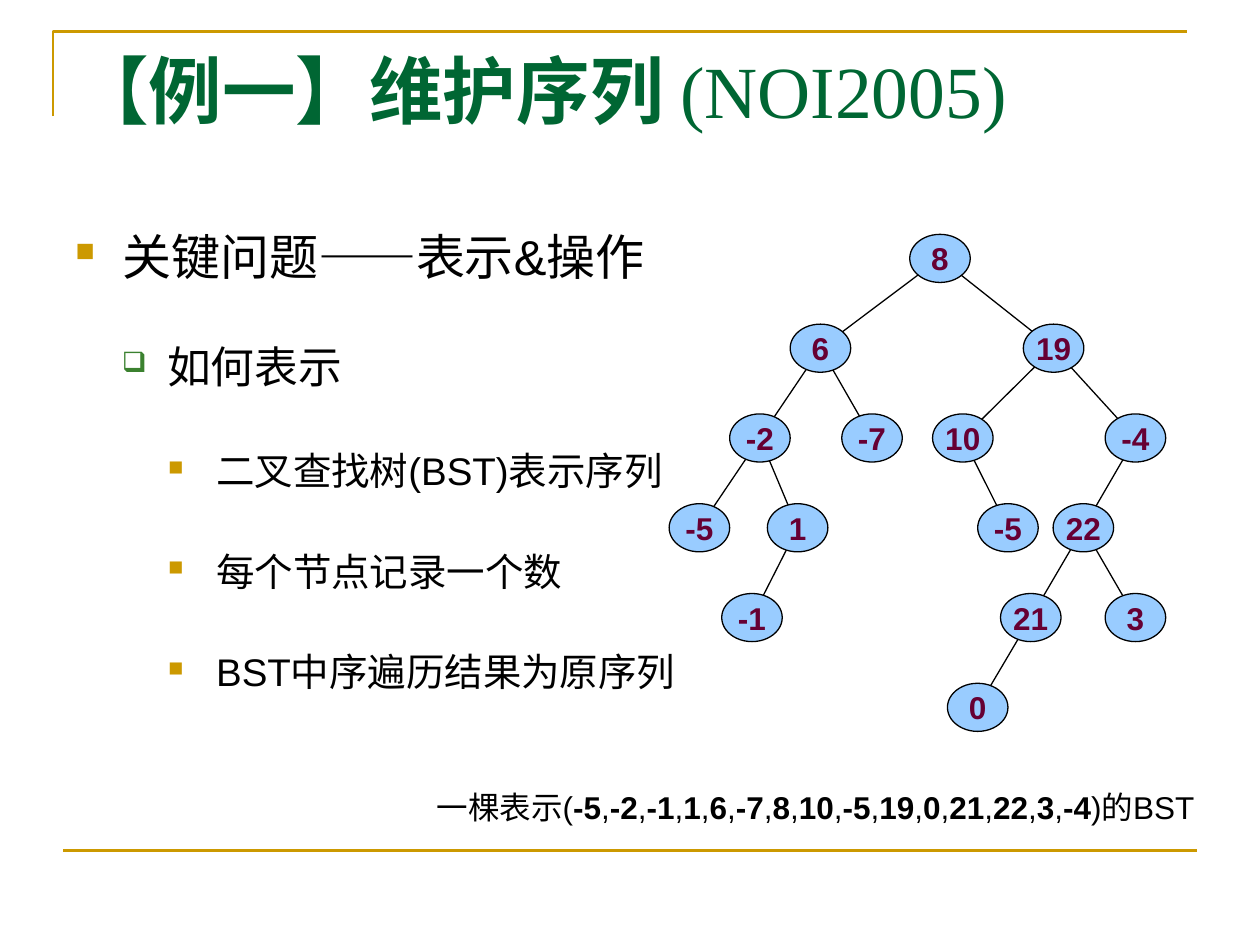
import pptx
import pptx.dml.color
import pptx.enum.shapes
import pptx.enum.text
import pptx.oxml.ns
import pptx.util
from lxml import etree

Cm = pptx.util.Cm
Pt = pptx.util.Pt
RGBColor = pptx.dml.color.RGBColor
ALIGN = pptx.enum.text.PP_ALIGN
ANCHOR = pptx.enum.text.MSO_ANCHOR
qn = pptx.oxml.ns.qn

GOLD = RGBColor(0xCC, 0x99, 0x00)
GREEN = RGBColor(0x00, 0x66, 0x33)
LEAF = RGBColor(0x3B, 0x81, 0x2F)
SKY = RGBColor(0x99, 0xCC, 0xFF)
PLUM = RGBColor(0x66, 0x00, 0x33)
BLACK = RGBColor(0x00, 0x00, 0x00)

TITLE = [("【例一】维护序列 ", True), ("(NOI2005)", False)]

# Per outline level: size, line height and space before in points, indents in cm
LEVELS = [
    dict(size=28, line=33, before=0, left=0.95, hang=0.95, bullet="■", color=GOLD, percent=54),
    dict(size=25, line=32, before=29.5, left=1.85, hang=0.91, bullet="❑", color=LEAF, percent=64),
    dict(size=22, line=28, before=29.5, left=2.84, hang=0.97, bullet="■", color=GOLD, percent=54),
]
OUTLINE = [
    (0, "关键问题——表示&操作"),
    (1, "如何表示"),
    (2, "二叉查找树(BST)表示序列"),
    (2, "每个节点记录一个数"),
    (2, "BST中序遍历结果为原序列"),
]

# label, depth, centre x in cm, index of the parent
TREE = [
    ("8", 0, 18.95, None),
    ("6", 1, 16.54, 0), ("19", 1, 21.24, 0),
    ("-2", 2, 15.32, 1), ("-7", 2, 17.58, 1), ("10", 2, 19.41, 2), ("-4", 2, 22.89, 2),
    ("-5", 3, 14.1, 3), ("1", 3, 16.08, 3), ("-5", 3, 20.32, 5), ("22", 3, 21.84, 6),
    ("-1", 4, 15.16, 8), ("21", 4, 20.78, 10), ("3", 4, 22.89, 10),
    ("0", 5, 19.71, 12),
]
ROOT_Y, ROW_PITCH = 5.21, 1.81
NODE_WIDTH, NODE_HEIGHT = 1.22, 0.97
SEQUENCE = "-5,-2,-1,1,6,-7,8,10,-5,19,0,21,22,3,-4".split(",")


def apply(target, values):
    for name, value in values.items():
        setattr(target, name, value)


class SlideWriter:
    def __init__(self, page, font="Arial"):
        self.page = page
        self.font = font

    def spans(self, para, parts, size, color, font=None):
        """Add (text, bold) parts to a paragraph."""
        for text, bold in parts:
            span = para.add_run()
            span.text = text
            apply(span.font, dict(name=font or self.font, size=Pt(size), bold=bold))
            span.font.color.rgb = color

    def frame(self, box, wrap=True, anchor=ANCHOR.TOP):
        apply(box.text_frame, dict(
            word_wrap=wrap, vertical_anchor=anchor,
            auto_size=pptx.enum.text.MSO_AUTO_SIZE.NONE,
            margin_left=Cm(0.25), margin_right=Cm(0.25),
            margin_top=Cm(0.13), margin_bottom=Cm(0.13)))
        return box.text_frame

    def title(self, parts, left, top, width, height):
        box = self.page.shapes.title
        apply(box, dict(left=Cm(left), top=Cm(top), width=Cm(width), height=Cm(height)))
        para = self.frame(box).paragraphs[0]
        apply(para, dict(alignment=ALIGN.LEFT, line_spacing=Pt(51)))
        self.spans(para, parts, 42, GREEN, "Times New Roman")

    def text_box(self, left, top, width, height):
        return self.frame(self.page.shapes.add_textbox(Cm(left), Cm(top), Cm(width), Cm(height)))

    def outline(self, items, *place):
        frame = self.text_box(*place)
        for number, (level, text) in enumerate(items):
            style = LEVELS[level]
            para = frame.paragraphs[0] if number == 0 else frame.add_paragraph()
            apply(para, dict(level=level, alignment=ALIGN.LEFT,
                             line_spacing=Pt(style["line"]), space_before=Pt(style["before"])))
            self.bullet(para, style)
            self.spans(para, [(text, False)], style["size"], BLACK)

    def bullet(self, para, style):
        props = para._p.get_or_add_pPr()
        props.set("marL", str(Cm(style["left"])))
        props.set("indent", str(-Cm(style["hang"])))
        color = etree.SubElement(props, qn("a:buClr"))
        etree.SubElement(color, qn("a:srgbClr"), val=str(style["color"]))
        etree.SubElement(props, qn("a:buSzPct"), val=str(style["percent"] * 1000))
        etree.SubElement(props, qn("a:buChar"), char=style["bullet"])

    def caption(self, parts, *place):
        para = self.text_box(*place).paragraphs[0]
        apply(para, dict(alignment=ALIGN.RIGHT, line_spacing=Pt(22.5)))
        self.spans(para, parts, 18, BLACK)

    def line(self, shapes, start, end, color, width):
        link = shapes.add_connector(
            pptx.enum.shapes.MSO_CONNECTOR.STRAIGHT, *map(Cm, start + end))
        link.line.color.rgb = color
        link.line.width = Pt(width)
        etree.SubElement(link._element.spPr, qn("a:effectLst"))

    def corner(self, points):
        first, *rest = [(Cm(x), Cm(y)) for x, y in points]
        builder = self.page.shapes.build_freeform(*first)
        builder.add_line_segments(rest, close=False)
        shape = builder.convert_to_shape()
        shape.shadow.inherit = False
        shape.fill.background()
        shape.line.color.rgb = GOLD
        shape.line.width = Pt(1.5)

    def node(self, shapes, label, center):
        x, y = center
        shape = shapes.add_shape(
            pptx.enum.shapes.MSO_SHAPE.OVAL, Cm(x - NODE_WIDTH / 2), Cm(y - NODE_HEIGHT / 2),
            Cm(NODE_WIDTH), Cm(NODE_HEIGHT))
        shape.shadow.inherit = False
        shape.fill.solid()
        shape.fill.fore_color.rgb = SKY
        shape.line.color.rgb = BLACK
        shape.line.width = Pt(0.75)
        para = self.frame(shape, wrap=False, anchor=ANCHOR.MIDDLE).paragraphs[0]
        para.alignment = ALIGN.CENTER
        self.spans(para, [(label, True)], 18, PLUM)

    def tree(self, nodes):
        """Draw every edge between node centres, then the nodes over them."""
        shapes = self.page.shapes.add_group_shape().shapes
        centers = [(x, ROOT_Y + depth * ROW_PITCH) for _, depth, x, _ in nodes]
        for center, (*_, parent) in zip(centers, nodes):
            if parent is not None:
                self.line(shapes, centers[parent], center, BLACK, 0.75)
        for center, (label, *_) in zip(centers, nodes):
            self.node(shapes, label, center)


def sequence_parts():
    parts = [("一棵表示(", False)]
    for number, value in enumerate(SEQUENCE):
        if number:
            parts.append((",", False))
        parts.append((value, True))
    return parts + [(")的BST", False)]


def main():
    deck = pptx.Presentation()
    apply(deck, dict(slide_width=Cm(25.4), slide_height=Cm(19.05)))
    page = deck.slides.add_slide(deck.slide_layouts[5])
    writer = SlideWriter(page)
    writer.corner([(1.07, 2.34), (1.07, 0.64), (23.93, 0.64)])
    writer.line(page.shapes, (1.27, 17.15), (24.13, 17.15), GOLD, 1.5)
    writer.title(TITLE, 1.27, 0.76, 22.86, 3.18)
    writer.outline(OUTLINE, 1.27, 4.45, 13.03, 11.48)
    writer.caption(sequence_parts(), 1.5, 15.72, 22.83, 1.19)
    writer.tree(TREE)
    deck.save("out.pptx")


if __name__ == "__main__":
    main()
